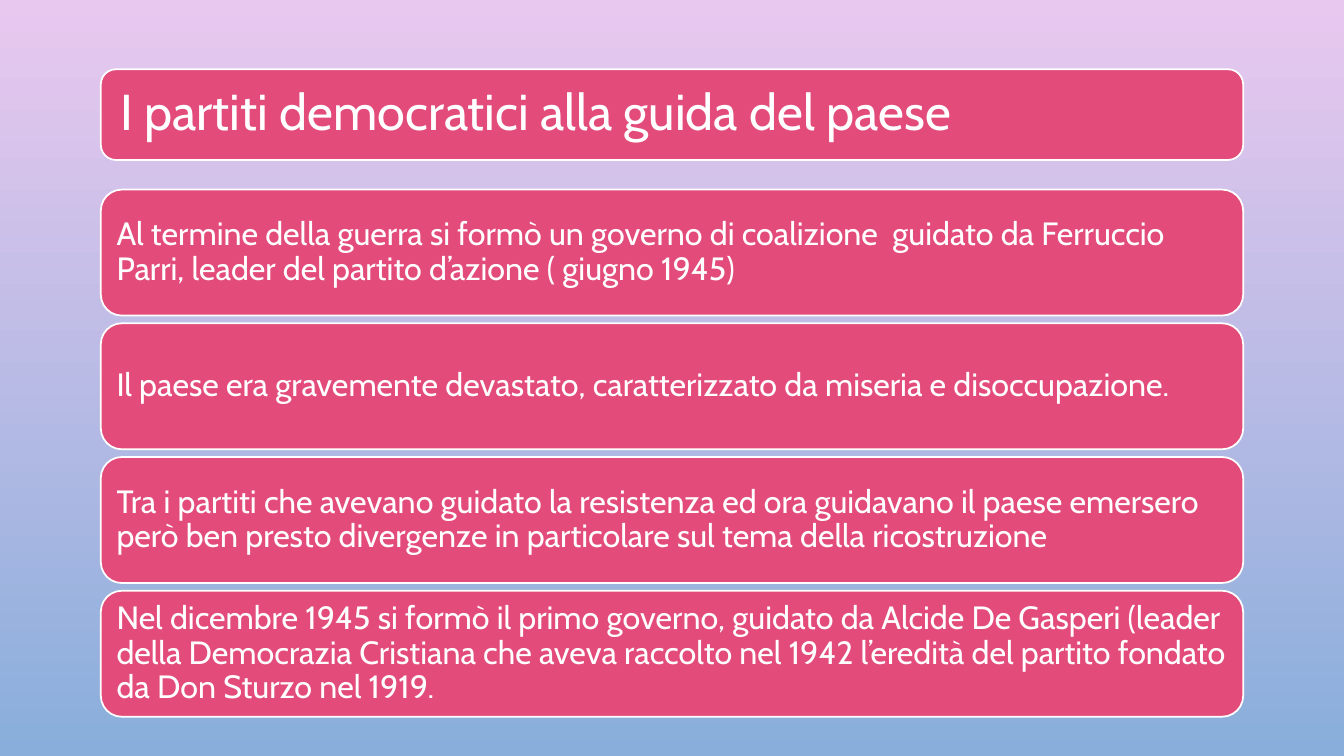
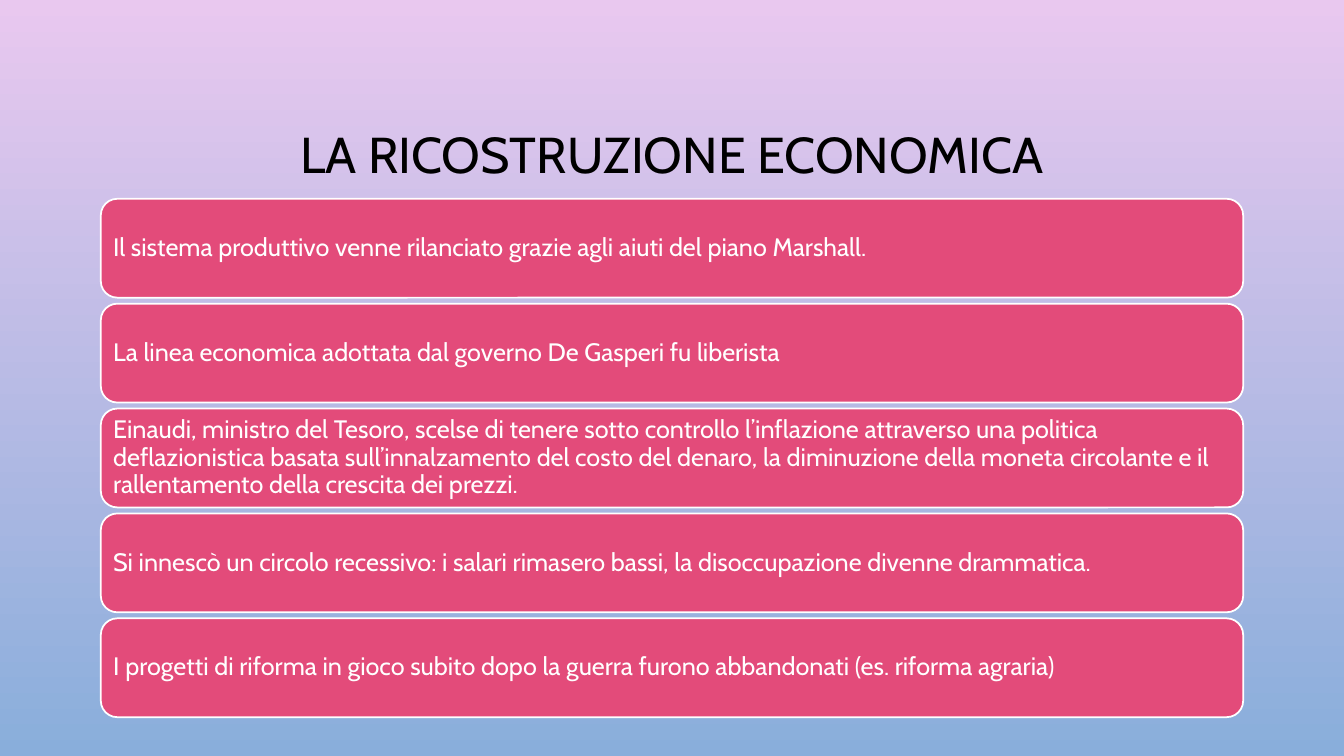
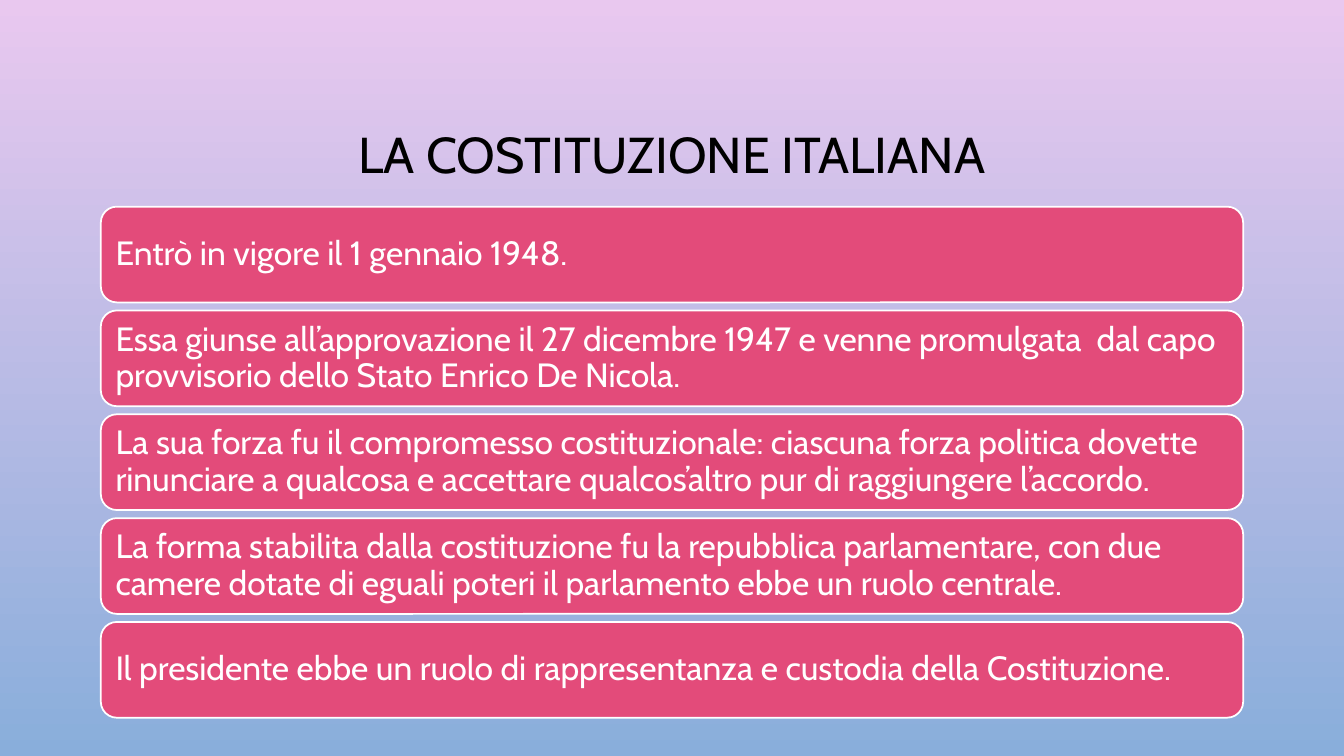
import dataclasses
import typing

import pptx
import pptx.dml.color
import pptx.enum.shapes
import pptx.enum.text
import pptx.shapes.base
import pptx.slide
import pptx.text.text
import pptx.util

Pt = pptx.util.Pt
RGB = pptx.dml.color.RGBColor
Align = pptx.enum.text.PP_ALIGN
Anchor = pptx.enum.text.MSO_ANCHOR


# Theme: colours, type and the shared column
@dataclasses.dataclass(frozen=True)
class Theme:
    sky: RGB = RGB.from_string("E9C8EF")
    sea: RGB = RGB.from_string("89AEDB")
    rose: RGB = RGB.from_string("E34B7A")
    white: RGB = RGB.from_string("FFFFFF")
    black: RGB = RGB.from_string("000000")
    font: str = "Cabin"
    head: float = 36
    lead: float = 0.9   # line spacing
    inset: float = 0.3  # card margin per point of type
    gap: float = 0.24   # space between cards per point of type
    edge: float = 1.25
    left: float = 72
    width: float = 816


THEME = Theme()


class Box(typing.NamedTuple):
    top: float
    height: float


# A slide: its title, its stack of cards and an optional title band
@dataclasses.dataclass(frozen=True)
class Page:
    title: str
    size: float
    first: Box
    cards: tuple[str, ...]
    band: typing.Optional[Box] = None


PAGES = (
    Page(
        "I partiti democratici alla guida del paese", 23, Box(135.4, 90),
        (
            "Al termine della guerra si formò un governo di coalizione  guidato da Ferruccio Parri, "
            "leader del partito d’azione ( giugno 1945)",
            "Il paese era gravemente devastato, caratterizzato da miseria e disoccupazione.",
            "Tra i partiti che avevano guidato la resistenza ed ora guidavano il paese emersero "
            "però ben presto divergenze in particolare sul tema della ricostruzione",
            "Nel dicembre 1945 si formò il primo governo, guidato da Alcide De Gasperi (leader "
            "della Democrazia Cristiana che aveva raccolto nel 1942 l’eredità del partito fondato "
            "da Don Sturzo nel 1919.",
        ),
        band=Box(49.5, 64.8),
    ),
    Page(
        "LA RICOSTRUZIONE ECONOMICA", 18, Box(142, 70.6),
        (
            "Il sistema produttivo venne rilanciato grazie agli aiuti del piano Marshall.",
            "La linea economica adottata dal governo De Gasperi fu liberista",
            "Einaudi, ministro del Tesoro, scelse di tenere sotto controllo l’inflazione attraverso "
            "una politica  deflazionistica basata sull’innalzamento del costo del denaro, la "
            "diminuzione della moneta circolante e il rallentamento della crescita dei prezzi.",
            "Si innescò un circolo recessivo: i salari rimasero bassi, la disoccupazione divenne "
            "drammatica.",
            "I progetti di riforma in gioco subito dopo la guerra furono abbandonati "
            "(es. riforma agraria)",
        ),
    ),
    Page(
        "LA COSTITUZIONE ITALIANA", 24, Box(147.6, 68.4),
        (
            "Entrò in vigore il 1 gennaio 1948.",
            "Essa giunse all’approvazione il 27 dicembre 1947 e venne promulgata  dal capo "
            "provvisorio dello Stato Enrico De Nicola.",
            "La sua forza fu il compromesso costituzionale: ciascuna forza politica dovette "
            "rinunciare a qualcosa e accettare qualcos’altro pur di raggiungere l’accordo.",
            "La forma stabilita dalla costituzione fu la repubblica parlamentare, con due camere "
            "dotate di eguali poteri il parlamento ebbe un ruolo centrale.",
            "Il presidente ebbe un ruolo di rappresentanza e custodia della Costituzione.",
        ),
    ),
)

TITLE = Box(49, 126)


# Helpers
def apply(target: object, values: dict[str, typing.Any]) -> None:
    for name, value in values.items():
        setattr(target, name, value)


def write(frame: pptx.text.text.TextFrame, text: str, size: float, ink: RGB,
          align: Align, pad: float) -> None:
    frame.text = text
    sides = ("left", "top", "right", "bottom")
    apply(frame, {"word_wrap": True, "vertical_anchor": Anchor.MIDDLE,
                  **{f"margin_{side}": Pt(pad) for side in sides}})
    line = frame.paragraphs[0]
    apply(line, {"alignment": align, "line_spacing": THEME.lead})
    apply(line.font, {"name": THEME.font, "size": Pt(size), "bold": False})
    line.font.color.rgb = ink


def add_card(slide: pptx.slide.Slide, box: Box) -> pptx.shapes.base.BaseShape:
    card = slide.shapes.add_shape(
        pptx.enum.shapes.MSO_SHAPE.ROUNDED_RECTANGLE,
        Pt(THEME.left), Pt(box.top), Pt(THEME.width), Pt(box.height))
    card.shadow.inherit = False
    card.fill.solid()
    card.fill.fore_color.rgb = THEME.rose
    card.line.color.rgb = THEME.white
    card.line.width = Pt(THEME.edge)
    return card


def add_title(slide: pptx.slide.Slide, page: Page) -> None:
    title = slide.shapes.title
    box, ink, align, pad = TITLE, THEME.black, Align.CENTER, 7.2
    if page.band:
        band = add_card(slide, page.band)
        band._element.addnext(title._element)  # lift the title above its band
        box, ink, align, pad = page.band, THEME.white, Align.LEFT, 14
    apply(title, {"left": Pt(THEME.left), "top": Pt(box.top),
                  "width": Pt(THEME.width), "height": Pt(box.height)})
    write(title.text_frame, page.title, THEME.head, ink, align, pad)


def add_stack(slide: pptx.slide.Slide, page: Page) -> None:
    top, height = page.first
    step = height + THEME.gap * page.size
    for row, text in enumerate(page.cards):
        card = add_card(slide, Box(top + row * step, height))
        write(card.text_frame, text, page.size, THEME.white, Align.LEFT,
              THEME.inset * page.size)


def main() -> None:
    deck = pptx.Presentation()
    apply(deck, {"slide_width": Pt(960), "slide_height": Pt(540)})

    # Shared background, from top to bottom
    fill = deck.slide_master.background.fill
    fill.gradient()
    fill.gradient_angle = 270
    for stop, tone in zip(fill.gradient_stops, (THEME.sky, THEME.sea)):
        stop.color.rgb = tone

    # Slides
    layout = deck.slide_layouts.get_by_name("Title Only")
    for page in PAGES:
        slide = deck.slides.add_slide(layout)
        add_title(slide, page)
        add_stack(slide, page)
    deck.save("out.pptx")


if __name__ == "__main__":
    main()
